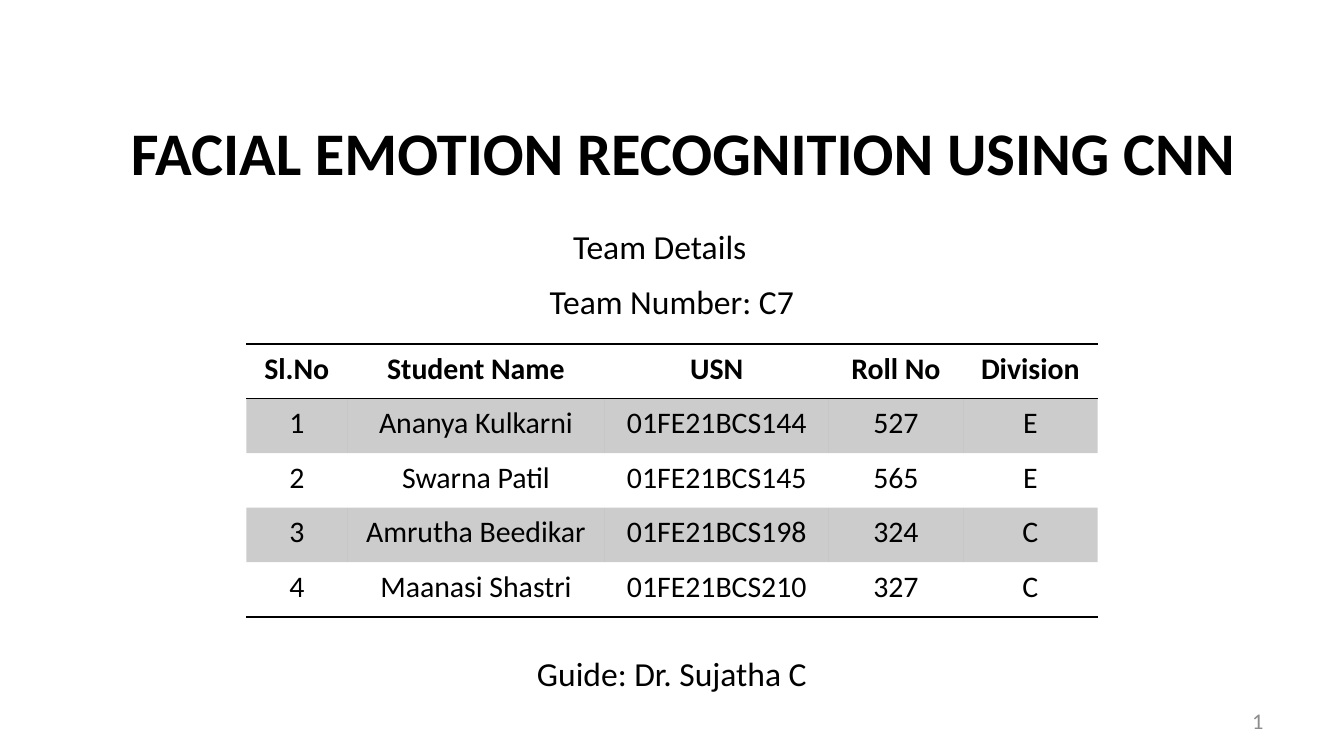
from lxml import etree
from pptx import Presentation
from pptx import util as u
from pptx.dml.color import RGBColor
from pptx.enum import text
from pptx.oxml import ns

BLACK = RGBColor(0x00, 0x00, 0x00)
GREY = RGBColor(0x8C, 0x8C, 0x8C)
FONT = "Calibri"
PLAIN_TABLE = "{2D5ABB26-0587-4C30-8999-92F81FD0307C}"

deck = Presentation()
deck.slide_width = u.Inches(10)
deck.slide_height = deck.slide_width * 9 // 16
COL = deck.slide_width / 120
ROW = deck.slide_height / 225
slide = deck.slides.add_slide(deck.slide_layouts[0])


def box(left, top, width, height):
    """Turn grid columns and rows into slide lengths."""
    return int(left * COL), int(top * ROW), int(width * COL), int(height * ROW)


def write(frame, words, size, align, color=BLACK, bold=False):
    frame.text = words
    paragraph = frame.paragraphs[0]
    paragraph.alignment = align
    font = paragraph.runs[0].font
    font.name, font.size, font.bold = FONT, u.Pt(size), bold
    font.color.rgb = color
    return paragraph


CENTER, LEFT, RIGHT = text.PP_ALIGN.CENTER, text.PP_ALIGN.LEFT, text.PP_ALIGN.RIGHT
TOP, MIDDLE = text.MSO_ANCHOR.TOP, text.MSO_ANCHOR.MIDDLE

# Title and team number
project, team_number = slide.shapes.title, slide.placeholders[1]
project.left, project.top, project.width, project.height = box(9, 25, 104, 40)
write(project.text_frame, "FACIAL EMOTION RECOGNITION USING CNN", 32.4, CENTER, bold=True)
project.text_frame.vertical_anchor = MIDDLE

(team_number.left, team_number.top,
 team_number.width, team_number.height) = box(35, 80.4, 50, 22)
number_line = write(team_number.text_frame, "Team Number: C7", 18, CENTER)
number_line.line_spacing = 1.1
number_line.space_before = u.Pt(3.6)
team_number.text_frame.vertical_anchor = TOP

for placeholder in (project, team_number):
    placeholder.text_frame.auto_size = text.MSO_AUTO_SIZE.NONE

# Guide, slide number and team heading
labels = [
    ("Guide: Dr. Sujatha C", box(44, 192.5, 32, 20), 18, CENTER, BLACK, TOP, 3.6),
    ("1", box(86, 208.5, 28, 12), 12, RIGHT, GREY, MIDDLE, 0),
    ("Team Details", box(50, 65.2, 19, 16), 18, LEFT, BLACK, TOP, 0),
]
for words, place, size, align, color, anchor, before in labels:
    frame = slide.shapes.add_textbox(*place).text_frame
    frame.word_wrap = True
    frame.vertical_anchor = anchor
    write(frame, words, size, align, color).space_before = u.Pt(before)

# Team members
members = [
    ("Sl.No", "Student Name", "USN", "Roll No", "Division"),
    ("1", "Ananya Kulkarni", "01FE21BCS144", "527", "E"),
    ("2", "Swarna Patil", "01FE21BCS145", "565", "E"),
    ("3", "Amrutha Beedikar", "01FE21BCS198", "324", "C"),
    ("4", "Maanasi Shastri", "01FE21BCS210", "327", "C"),
]
column_widths = (9, 23, 20, 12, 12)
team = slide.shapes.add_table(len(members), len(column_widths),
                              *box(22, 102.4, sum(column_widths), 81.2)).table
team._tbl.tblPr.find(ns.qn("a:tableStyleId")).text = PLAIN_TABLE
for column, width in zip(team.columns, column_widths):
    column.width = int(width * COL)

ruled_sides = {0: ("lnB", "lnT"), len(members) - 1: ("lnB",)}
for r, member in enumerate(members):
    for c, words in enumerate(member):
        cell = team.cell(r, c)
        write(cell.text_frame, words, 16, CENTER, bold=r == 0)
        properties = cell._tc.get_or_add_tcPr()
        if r % 2:
            cell.fill.solid()
            cell.fill.fore_color.rgb = BLACK
            shade = properties.find(".//" + ns.qn("a:srgbClr"))
            etree.SubElement(shade, ns.qn("a:alpha"), val="20000")
        else:
            cell.fill.background()
        for side in ruled_sides.get(r, ()):
            rule = etree.Element(ns.qn("a:" + side), w=str(u.Pt(1)))
            ink = etree.SubElement(rule, ns.qn("a:solidFill"))
            etree.SubElement(ink, ns.qn("a:srgbClr"), val=str(BLACK))
            properties.insert(0, rule)

deck.save("out.pptx")
